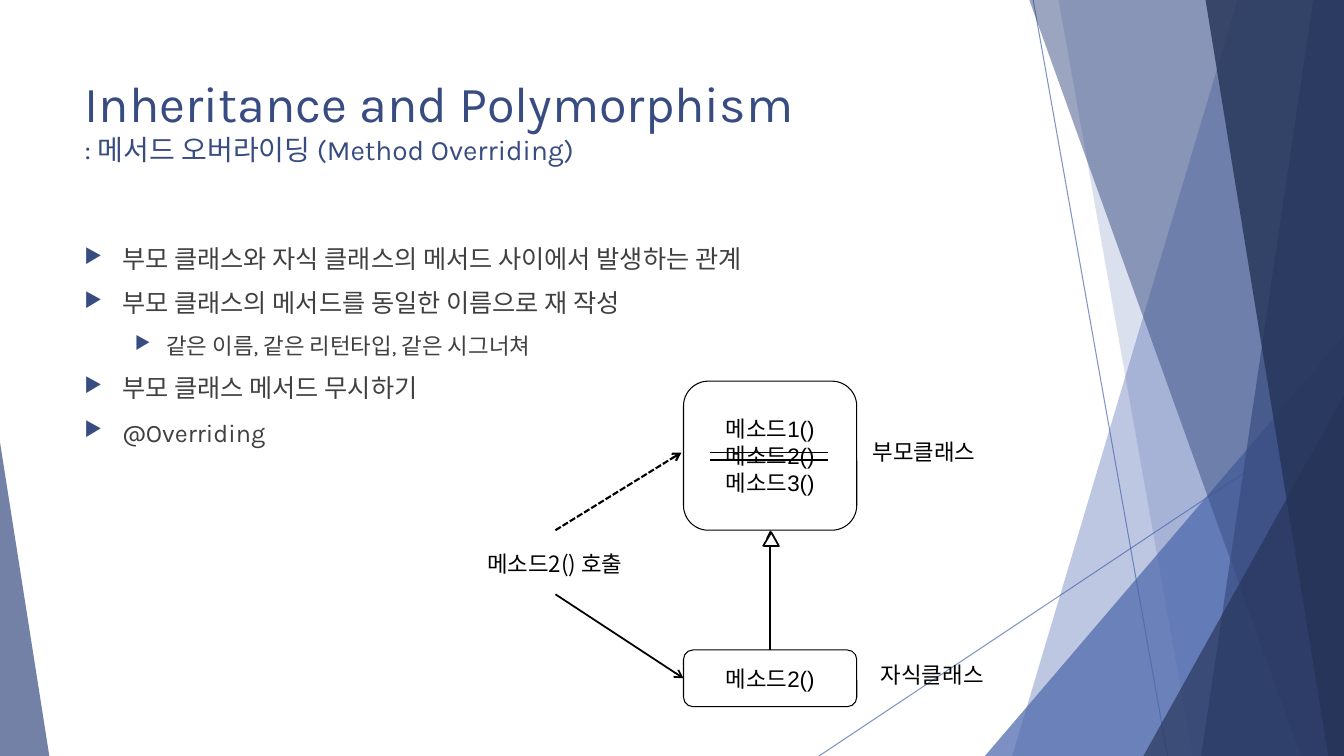
import lxml.etree
import pptx
import pptx.dml.color
import pptx.enum.dml
import pptx.enum.shapes
import pptx.enum.text
import pptx.oxml.ns
import pptx.util

RGBColor = pptx.dml.color.RGBColor
BLUE = RGBColor(0x4A, 0x66, 0xAC)
DEEP_BLUE = RGBColor(0x38, 0x4C, 0x81)
NAVY = RGBColor(0x25, 0x33, 0x56)
GRAY = RGBColor(0x40, 0x40, 0x40)
BLACK = RGBColor(0, 0, 0)
WHITE = RGBColor(0xFF, 0xFF, 0xFF)

SHAPE = pptx.enum.shapes.MSO_SHAPE
ALIGN = pptx.enum.text.PP_ALIGN
ANCHOR = pptx.enum.text.MSO_ANCHOR
DASH = pptx.enum.dml.MSO_LINE
qn = pptx.oxml.ns.qn

EMU_PER_PX = 9525
WIDTH, HEIGHT = 1280, 720


def px(length):
    return pptx.util.Emu(length * EMU_PER_PX)


def add_element(parent, tag, **attributes):
    return lxml.etree.SubElement(parent, qn(tag), attributes)


class SlideBuilder:
    heading_font = "Karla"
    label_font = "Arial"
    label_size = 16

    def __init__(self, presentation):
        self.slide = presentation.slides.add_slide(presentation.slide_layouts[5])
        self.shapes = self.slide.shapes

    def set_alpha(self, shape, percent):
        color = shape.element.find(".//" + qn("a:srgbClr"))
        add_element(color, "a:alpha", val=str(percent * 1000))

    def paint(self, shape, fill=None, alpha=None, line=None, weight=0.75):
        shape.shadow.inherit = False
        if fill is None:
            shape.fill.background()
        else:
            shape.fill.solid()
            shape.fill.fore_color.rgb = fill
        if alpha is not None:
            self.set_alpha(shape, alpha)
        if line is None:
            shape.line.fill.background()
        else:
            shape.line.color.rgb = line
            shape.line.width = pptx.util.Pt(weight)

    def panel(self, top_x, bottom_x, color, alpha):
        builder = self.shapes.build_freeform(top_x, -1, scale=EMU_PER_PX)
        builder.add_line_segments([(WIDTH, -1), (WIDTH, HEIGHT), (bottom_x, HEIGHT)], close=True)
        self.paint(builder.convert_to_shape(), color, alpha)

    def triangle(self, box, apex, fill, alpha=None, line=None, weight=0.75):
        shape = self.shapes.add_shape(SHAPE.ISOSCELES_TRIANGLE, *map(px, box))
        shape.adjustments[0] = apex
        self.paint(shape, fill, alpha, line, weight)
        return shape

    def line(self, start, end, color=BLACK, weight=1.25, alpha=None, arrow=None, dash=None):
        connector = self.shapes.add_connector(
            pptx.enum.shapes.MSO_CONNECTOR.STRAIGHT, *map(px, start + end))
        connector.line.color.rgb = color
        connector.line.width = pptx.util.Pt(weight)
        if dash is not None:
            connector.line.dash_style = dash
        if alpha is not None:
            self.set_alpha(connector, alpha)
        if arrow is not None:
            add_element(connector.element.spPr.find(qn("a:ln")), "a:tailEnd", type=arrow)
        add_element(connector.element.spPr, "a:effectLst")
        return connector

    def title(self, box, heading, subheading):
        title = self.shapes.title
        title.left, title.top, title.width, title.height = map(px, box)
        title.element.getparent().append(title.element)
        frame = title.text_frame
        frame.auto_size = pptx.enum.text.MSO_AUTO_SIZE.NONE
        frame.vertical_anchor = ANCHOR.TOP
        paragraph = frame.paragraphs[0]
        paragraph.alignment = ALIGN.LEFT
        paragraph.font.name = self.heading_font
        paragraph.font.size = pptx.util.Pt(36)
        paragraph.font.color.rgb = DEEP_BLUE
        paragraph.add_run().text = heading
        paragraph.add_line_break()
        run = paragraph.add_run()
        run.text = subheading
        run.font.size = pptx.util.Pt(20)

    def bullets(self, box, items):
        frame = self.shapes.add_textbox(*map(px, box)).text_frame
        frame.word_wrap = True
        for index, (level, text) in enumerate(items):
            paragraph = frame.add_paragraph() if index else frame.paragraphs[0]
            paragraph.text = text
            paragraph.level = level
            paragraph.space_before = pptx.util.Pt(10 if index else 0)
            margin, hanging, size = ((36, 36, 18), (78, 30, 16))[level]
            properties = paragraph._p.get_or_add_pPr()
            properties.set("marL", str(px(margin)))
            properties.set("indent", str(px(-hanging)))
            bullet_color = add_element(properties, "a:buClr")
            add_element(bullet_color, "a:srgbClr", val=str(DEEP_BLUE))
            add_element(properties, "a:buSzPct", val="80000")
            add_element(properties, "a:buChar", char="▶")
            paragraph.font.name = self.heading_font
            paragraph.font.size = pptx.util.Pt(size)
            paragraph.font.color.rgb = GRAY

    def fill_text(self, shape, lines, alignment, font):
        frame = shape.text_frame
        frame.word_wrap = True
        frame.vertical_anchor = ANCHOR.MIDDLE
        frame.margin_left = frame.margin_right = frame.margin_top = frame.margin_bottom = 0
        for index, text in enumerate(lines):
            paragraph = frame.add_paragraph() if index else frame.paragraphs[0]
            paragraph.text = text
            paragraph.alignment = alignment
            paragraph.font.name = font
            paragraph.font.size = pptx.util.Pt(self.label_size)
            paragraph.font.color.rgb = BLACK

    def class_box(self, box, methods):
        shape = self.shapes.add_shape(SHAPE.ROUNDED_RECTANGLE, *map(px, box))
        self.paint(shape, line=BLACK)
        self.fill_text(shape, methods, ALIGN.CENTER, self.label_font)
        return shape

    def label(self, box, text, alignment=ALIGN.LEFT, font=label_font):
        self.fill_text(self.shapes.add_textbox(*map(px, box)), [text], alignment, font)


def draw_background(builder):
    builder.line((984, 0), (1112, HEIGHT), BLUE, 0.75, alpha=70)
    builder.line((WIDTH, 387), (780, HEIGHT), BLUE, 0.75, alpha=70)
    builder.panel(1179, 964, BLUE, 36)
    builder.panel(1008, 1136, BLUE, 20)
    builder.triangle((938, 320, 342, 400), 1, BLUE, 72)
    builder.panel(980, 1239, DEEP_BLUE, 50)
    builder.panel(1251, 1144, DEEP_BLUE, 70)
    builder.panel(1148, 1265, NAVY, 80)
    builder.triangle((1089, 377, 191, 343), 1, NAVY, 66)
    builder.triangle((0, 421, 47, 299), 0, DEEP_BLUE, 70)


def draw_diagram(builder):
    parent = builder.class_box((651, 363, 165, 142), ["메소드1()", "메소드2()", "메소드3()"])
    builder.label((831, 408, 135, 45), "부모클래스")
    child = builder.class_box((651, 619, 165, 54), ["메소드2()"])
    builder.label((839, 620, 135, 45), "자식클래스")

    inheritance = builder.line((733, 619), (733, 505), weight=1.5, arrow="triangle")
    inheritance.begin_connect(child, 0)
    inheritance.end_connect(parent, 2)

    builder.label((435, 514, 187, 45), "메소드2() 호출", ALIGN.CENTER, "Noto Sans CJK KR")
    call = builder.line((529, 566), (651, 646), arrow="arrow")
    call.end_connect(child, 1)
    builder.line((529, 505), (649, 431), weight=1.5, arrow="arrow", dash=DASH.SQUARE_DOT)

    arrowhead = builder.triangle((727, 507, 15, 13), 0.5, WHITE, line=BLACK, weight=1.25)
    arrowhead.rotation = 1
    for strike_y in (431, 438):
        builder.line((676, strike_y), (789, strike_y))


def main():
    presentation = pptx.Presentation()
    presentation.slide_width, presentation.slide_height = px(WIDTH), px(HEIGHT)
    builder = SlideBuilder(presentation)
    draw_background(builder)
    builder.title((71, 64, 902, 138), "Inheritance and Polymorphism",
                  ": 메서드 오버라이딩 (Method Overriding)")
    builder.bullets((71, 227, 902, 407), [
        (0, "부모 클래스와 자식 클래스의 메서드 사이에서 발생하는 관계"),
        (0, "부모 클래스의 메서드를 동일한 이름으로 재 작성"),
        (1, "같은 이름, 같은 리턴타입, 같은 시그너쳐"),
        (0, "부모 클래스 메서드 무시하기"),
        (0, "@Overriding"),
    ])
    draw_diagram(builder)
    presentation.save("out.pptx")


if __name__ == "__main__":
    main()
